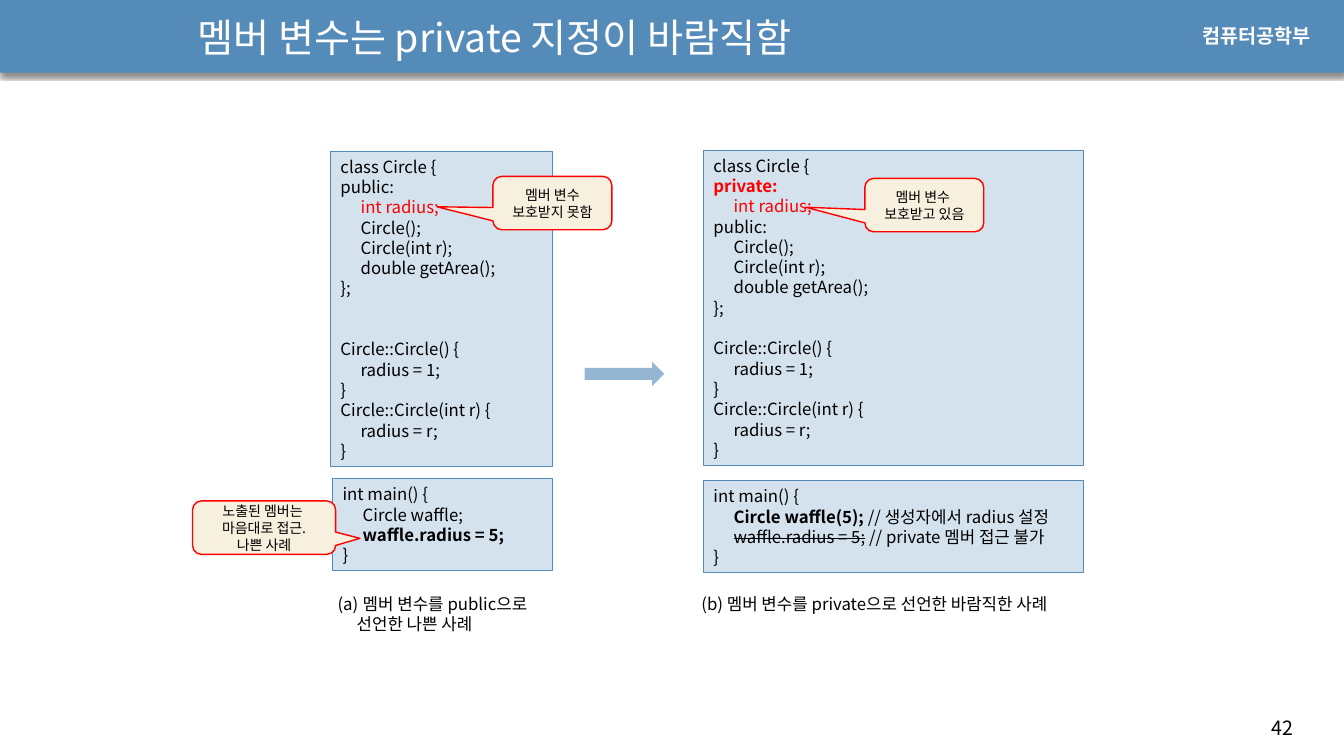
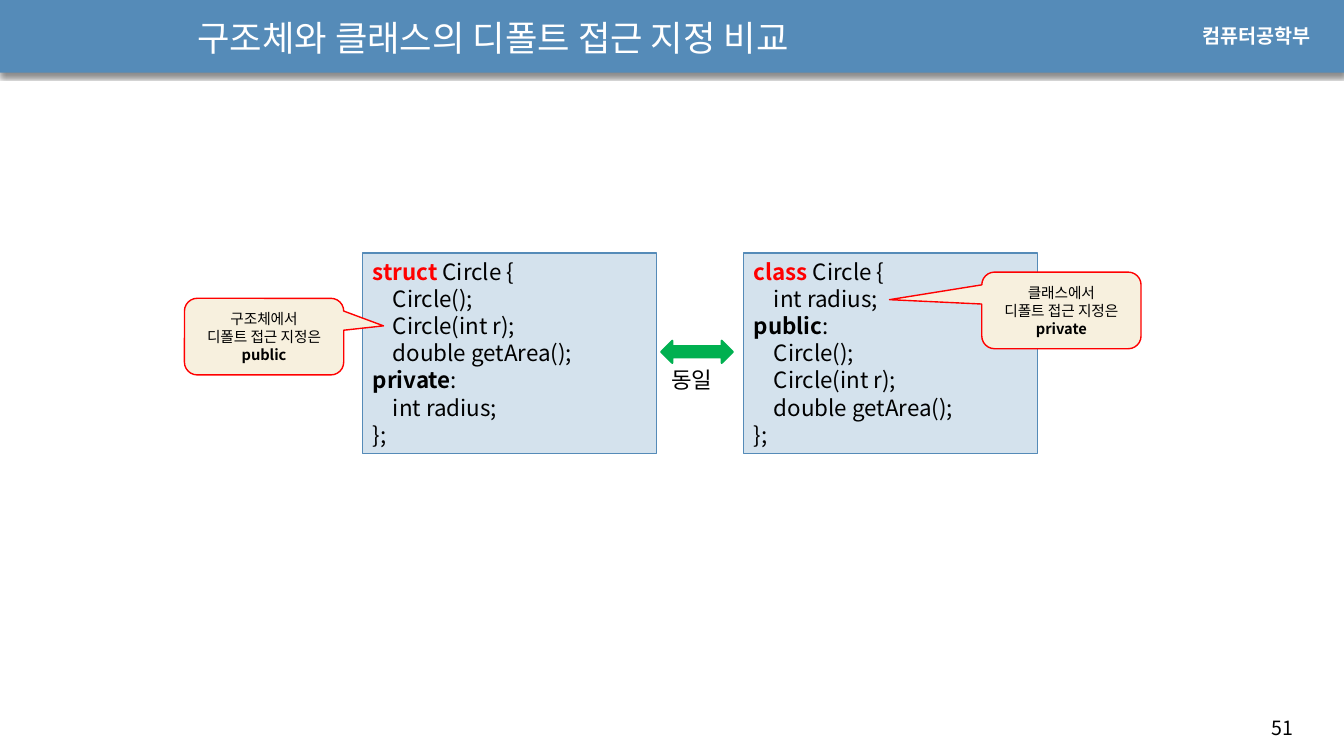
from dataclasses import dataclass
from typing import Optional, Sequence

from lxml.etree import SubElement as Sub
from pptx import Presentation
from pptx.dml.color import RGBColor
from pptx.enum.shapes import MSO_SHAPE as Kind
from pptx.enum.text import MSO_ANCHOR as Anchor, PP_ALIGN as Align
from pptx.oxml.ns import qn
from pptx.util import Inches, Pt

COLS, ROWS = 80, 45
CELL = Inches(1) / 6
FONT = "Noto Sans CJK KR"
BLUE, PALE, SOFT = "558BB8", "D4E2ED", "94B6D2"
CREAM, RED, GREEN = "F7F0DE", "FF0000", "00B050"
BLACK, WHITE = "000000", "FFFFFF"
LEAD = 1.21
TAB = 0.2


@dataclass(frozen=True)
class Box:
    col: float
    row: float
    wide: float
    high: float


@dataclass(frozen=True)
class Run:
    text: str
    color: Optional[str] = None
    bold: bool = False
    strike: bool = False


@dataclass(frozen=True)
class Line:
    runs: Sequence[Run]
    inset: float = 0
    gap: int = 0
    mark: str = ""


@dataclass(frozen=True)
class Style:
    size: float
    color: str = BLACK
    font: str = FONT
    bold: bool = False
    align: Align = Align.LEFT
    anchor: Anchor = Anchor.TOP


@dataclass(frozen=True)
class Code:
    box: Box
    lines: Sequence[Line]


@dataclass(frozen=True)
class Call:
    box: Box
    tip: tuple[float, float]
    lines: Sequence[Line]


def paint(color: str) -> RGBColor:
    return RGBColor.from_string(color)


def place(box: Box) -> list[int]:
    return [round(n * CELL) for n in (box.col, box.row, box.wide, box.high)]


def plain(text: str, inset: float = 0, gap: int = 0) -> Line:
    return Line([Run(text)], inset, gap)


def deep(*texts: str) -> list[Line]:
    return [plain(text, TAB) for text in texts]


def write(shape, lines: Sequence[Line], style: Style) -> None:
    frame = shape.text_frame
    frame.word_wrap = True
    frame.vertical_anchor = style.anchor
    for i, line in enumerate(lines):
        para = frame.paragraphs[0] if i == 0 else frame.add_paragraph()
        para.alignment = style.align
        para.line_spacing = Pt(style.size * LEAD)
        if line.gap:
            para.space_before = Pt(style.size * LEAD * line.gap)
        props = para._p.get_or_add_pPr()
        props.set("marL", str(Inches(line.inset)))
        props.set("indent", str(Inches(-line.inset if line.mark else 0)))
        if line.mark:
            Sub(props, qn("a:buFont"), typeface=style.font)
            Sub(props, qn("a:buAutoNum"), type=line.mark)
        for part in line.runs:
            run = para.add_run()
            run.text = part.text
            font = run.font
            font.size = Pt(style.size)
            font.bold = part.bold or style.bold
            font.color.rgb = paint(part.color or style.color)
            font.name = style.font
            look = run._r.get_or_add_rPr()
            Sub(look, qn("a:ea"), typeface=style.font)
            if part.strike:
                look.set("strike", "sngStrike")


def label(slide, box: Box, lines: Sequence[Line], style: Style) -> None:
    write(slide.shapes.add_textbox(*place(box)), lines, style)


def draw(slide, kind: Kind, box: Box, fill: str, edge: str = "", width: float = 0):
    shape = slide.shapes.add_shape(kind, *place(box))
    shape.shadow.inherit = False
    shape.fill.solid()
    shape.fill.fore_color.rgb = paint(fill)
    if edge:
        shape.line.color.rgb = paint(edge)
        shape.line.width = Pt(width)
    else:
        shape.line.fill.background()
    return shape


def shade(shape) -> None:
    effect = shape._element.spPr.find(qn("a:effectLst"))
    drop = Sub(effect, qn("a:outerShdw"), blurRad=str(Pt(3)), dist=str(Pt(2.4)),
               dir="5400000", rotWithShape="0")
    tint = Sub(drop, qn("a:srgbClr"), val=BLACK)
    Sub(tint, qn("a:alpha"), val="45000")


def start(deck, title: str, size: float, page: int):
    slide = deck.slides.add_slide(deck.slide_layouts[6])
    shade(draw(slide, Kind.RECTANGLE, Box(0, -0.06, COLS, 4.38), BLUE))
    label(slide, Box(75.12, 42.3, 4.26, 2.04), [plain(str(page))], Style(14))
    label(slide, Box(70.98, 1.14, 8.22, 2.04), [plain("컴퓨터공학부")],
          Style(14, WHITE, "Arial", True))
    label(slide, Box(11.16, 0.3, 44.4, 3.78), [plain(title)],
          Style(size, WHITE, anchor=Anchor.MIDDLE))
    return slide


def fill(slide, codes: Sequence[Code], calls: Sequence[Call],
         size: float, small: float) -> None:
    for code in codes:
        write(draw(slide, Kind.RECTANGLE, code.box, PALE, BLUE, 0.75),
              code.lines, Style(size))
    for call in calls:
        shape = draw(slide, Kind.ROUNDED_RECTANGULAR_CALLOUT, call.box, CREAM, RED, 1)
        shape.adjustments[0], shape.adjustments[1] = call.tip
        write(shape, call.lines, Style(small, align=Align.CENTER, anchor=Anchor.MIDDLE))


METHODS = deep("Circle();", "Circle(int r);", "double getArea();")
FIELD = Line([Run("int radius;", RED)], TAB)
END = plain("}")
CLOSE = plain("};")


def bodies(gap: int) -> list[Line]:
    return [plain("Circle::Circle() {", gap=gap), *deep("radius = 1;"), END,
            plain("Circle::Circle(int r) {"), *deep("radius = r;"), END]


def members(deck) -> None:
    slide = start(deck, "멤버 변수는 private 지정이 바람직함", 28, 42)
    head, main = plain("class Circle {"), plain("int main() {")
    codes = [
        Code(Box(19.68, 9, 13.2, 18.78),
             [head, plain("public:"), FIELD, *METHODS, CLOSE, *bodies(2)]),
        Code(Box(19.8, 28.5, 13.08, 5.46),
             [main, *deep("Circle waffle;"),
              Line([Run("waffle.radius = 5;", bold=True)], TAB), END]),
        Code(Box(41.88, 8.94, 22.62, 18.78),
             [head, Line([Run("private:", RED, True)]), FIELD, plain("public:"),
              *METHODS, CLOSE, *bodies(1)]),
        Code(Box(41.88, 28.62, 22.62, 5.46),
             [main,
              Line([Run("Circle waffle(5); ", bold=True),
                    Run("// 생성자에서 radius 설정")], TAB),
              Line([Run("waffle.radius = 5;", strike=True),
                    Run(" // private 멤버 접근 불가")], TAB), END]),
    ]
    calls = [
        Call(Box(29.34, 10.5, 7.08, 3.18), (-0.97, 0.07),
             [plain("멤버 변수"), plain("보호받지 못함")]),
        Call(Box(51.48, 10.62, 7.08, 3.18), (-1, 0.04),
             [plain("멤버 변수 "), plain("보호받고 있음")]),
        Call(Box(11.46, 29.82, 8.52, 3.18), (0.67, 0.2),
             [plain("노출된 멤버는 "), plain("마음대로 접근."), plain("나쁜 사례")]),
    ]
    fill(slide, codes, calls, 12, 10)
    draw(slide, Kind.RIGHT_ARROW, Box(34.8, 21.54, 4.74, 1.44), SOFT)
    label(slide, Box(19.5, 35.04, 13.68, 3),
          [Line([Run("멤버 변수를 public으로")], 0.25, mark="alphaLcParenBoth"),
           plain("선언한 나쁜 사례", 0.19)], Style(12))
    label(slide, Box(41.16, 35.04, 24, 1.8),
          [plain("(b) 멤버 변수를 private으로 선언한 바람직한 사례")], Style(12))


def default(deck) -> None:
    slide = start(deck, "구조체와 클래스의 디폴트 접근 지정 비교", 25.2, 51)

    def head(word: str) -> Line:
        return Line([Run(word, RED, True), Run(" Circle {")])

    def access(word: str) -> Line:
        return Line([Run(word, bold=True), Run(":")])

    def note(owner: str, word: str) -> list[Line]:
        return [plain(owner),
                Line([Run("디폴트 접근 지정은 "), Run(word, bold=True)])]

    field = deep("int radius;")
    codes = [
        Code(Box(44.28, 15.06, 17.46, 11.94),
             [head("class"), *field, access("public"), *METHODS, CLOSE]),
        Code(Box(21.6, 15.06, 17.46, 11.94),
             [head("struct"), *METHODS, access("private"), *field, CLOSE]),
    ]
    calls = [
        Call(Box(58.44, 16.2, 9.48, 4.56), (-1.08, -0.14), note("클래스에서", "private")),
        Call(Box(10.98, 17.76, 9.48, 4.56), (0.75, -0.14), note("구조체에서", "public")),
    ]
    fill(slide, codes, calls, 16, 10.5)
    draw(slide, Kind.LEFT_RIGHT_ARROW, Box(39.36, 20.28, 4.26, 1.32), GREEN, GREEN, 1.5)
    label(slide, Box(39.36, 21.48, 4.92, 2.22), [plain("동일")], Style(16))


def main() -> None:
    deck = Presentation()
    deck.slide_width = round(COLS * CELL)
    deck.slide_height = round(ROWS * CELL)
    members(deck)
    default(deck)
    deck.save("out.pptx")


if __name__ == "__main__":
    main()
